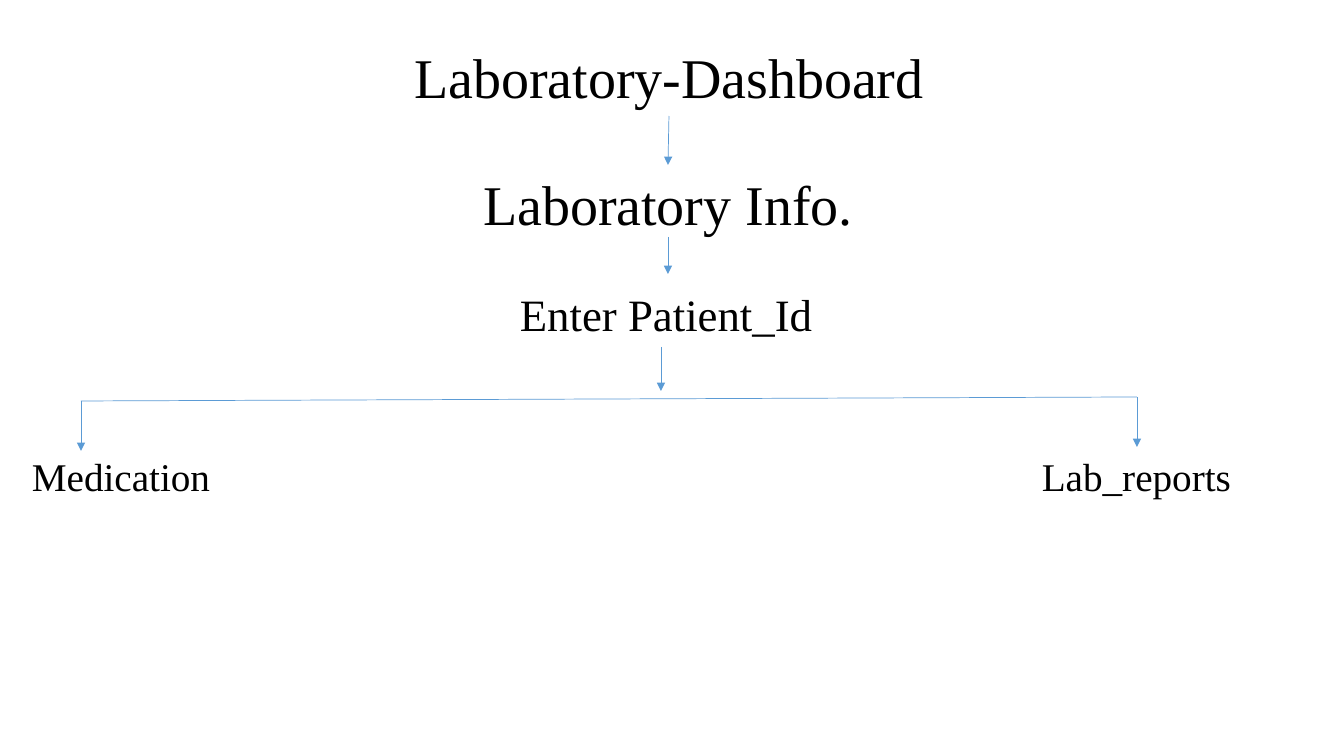
from lxml.etree import SubElement
from pptx import Presentation
from pptx.dml.color import RGBColor
from pptx.enum.shapes import MSO_CONNECTOR as CONN
from pptx.enum.text import MSO_AUTO_SIZE as FIT, PP_ALIGN as ALIGN
from pptx.oxml.ns import qn
from pptx.util import Emu, Pt

BLACK = RGBColor(0x00, 0x00, 0x00)
BLUE = RGBColor(0x5B, 0x9B, 0xD5)
WHITE = RGBColor(0xFF, 0xFF, 0xFF)
FONT = "Times New Roman"


def px(n):
    return Emu(round(n * 914400 / 100.8))


prs = Presentation()
prs.slide_width, prs.slide_height = px(1344), px(756)
s = prs.slides.add_slide(prs.slide_layouts[6])
s.background.fill.solid()
s.background.fill.fore_color.rgb = WHITE

# Steps: text, left, top, width, height, size, alignment, wrap
STEPS = [
    ("Laboratory-Dashboard", 30, 38, 1278, 78, 40, ALIGN.CENTER, True),
    ("Laboratory Info.", 29, 165, 1278, 78, 40, ALIGN.CENTER, True),
    ("Medication\tLab_reports", 22, 447, 1278, 57, 28, ALIGN.LEFT, True),
    ("Enter Patient_Id", 510, 282, 316, 65, 32, ALIGN.LEFT, False),
]
boxes = []
for text, left, top, width, height, size, align, wrap in STEPS:
    sp = s.shapes.add_textbox(px(left), px(top), px(width), px(height))
    tf = sp.text_frame
    tf.word_wrap, tf.auto_size = wrap, FIT.SHAPE_TO_FIT_TEXT
    p = tf.paragraphs[0]
    p.alignment = align
    r = p.add_run()
    r.text = text
    for name, value in {"name": FONT, "size": Pt(size)}.items():
        setattr(r.font, name, value)
    r.font.color.rgb = BLACK
    boxes.append(sp)
title, info, branches, entry = boxes

# Tab stop that places the right-hand branch
tabs = SubElement(branches.text_frame.paragraphs[0]._p.get_or_add_pPr(), qn("a:tabLst"))
SubElement(tabs, qn("a:tab"), pos=str(px(1010)), algn="l")

# Lines: x1, y1, x2, y2, arrowhead
LINES = [
    (669, 116, 668, 165, True),
    (668, 237, 668, 274, True),
    (81, 401, 1137, 397, False),
    (81, 401, 81, 451, True),
    (1137, 397, 1137, 447, True),
    (661, 347, 661, 391, True),
]
lines = []
for x1, y1, x2, y2, arrow in LINES:
    c = s.shapes.add_connector(CONN.STRAIGHT, px(x1), px(y1), px(x2), px(y2))
    c.line.color.rgb = BLUE
    c.line.width = Pt(0.5)
    if arrow:
        SubElement(c.line._get_or_add_ln(), qn("a:tailEnd"), type="triangle")
    SubElement(c._element.spPr, qn("a:effectLst"))
    lines.append(c)

# The first arrow joins the two headings
lines[0].begin_connect(title, 2)
lines[0].end_connect(info, 0)

prs.save("out.pptx")
